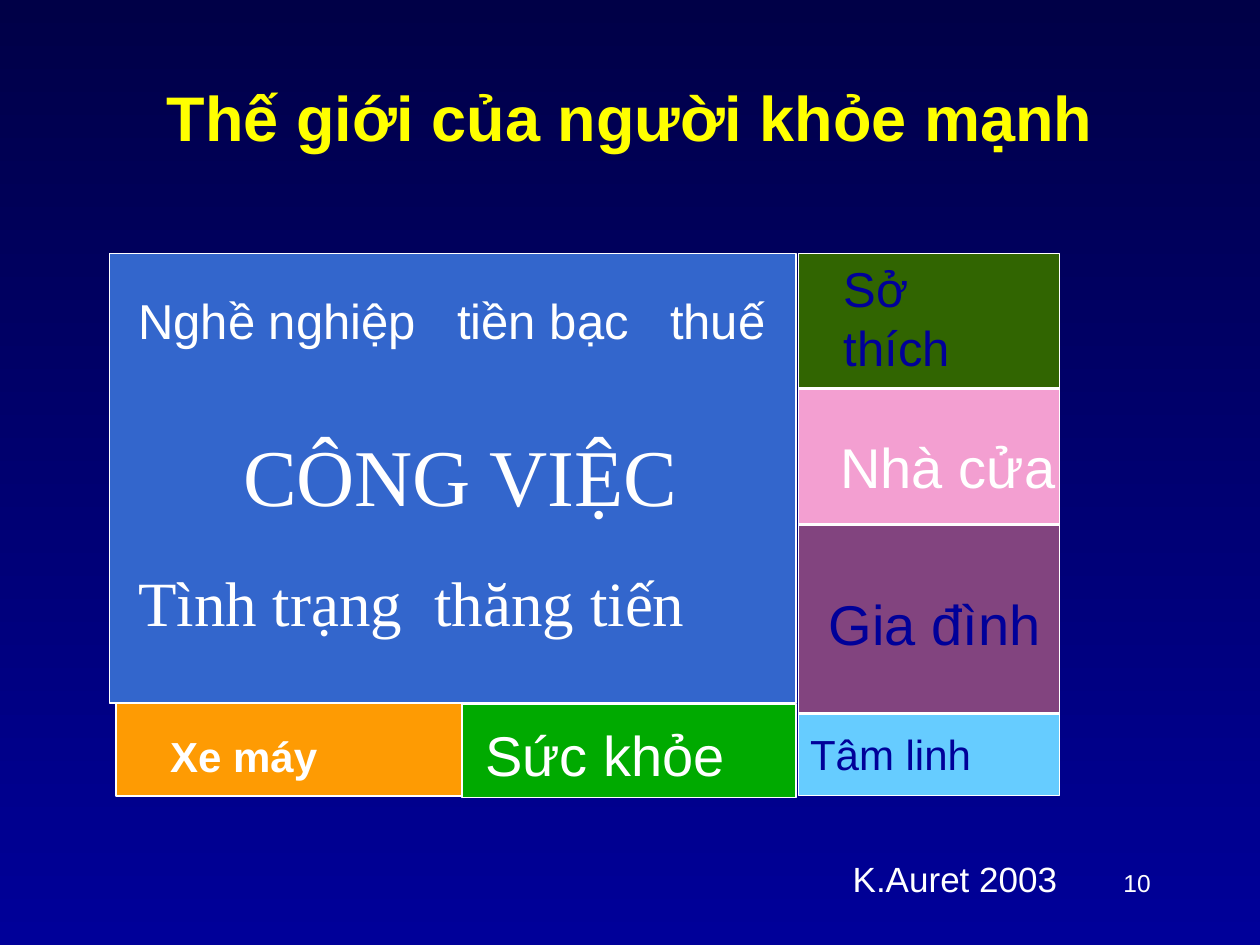
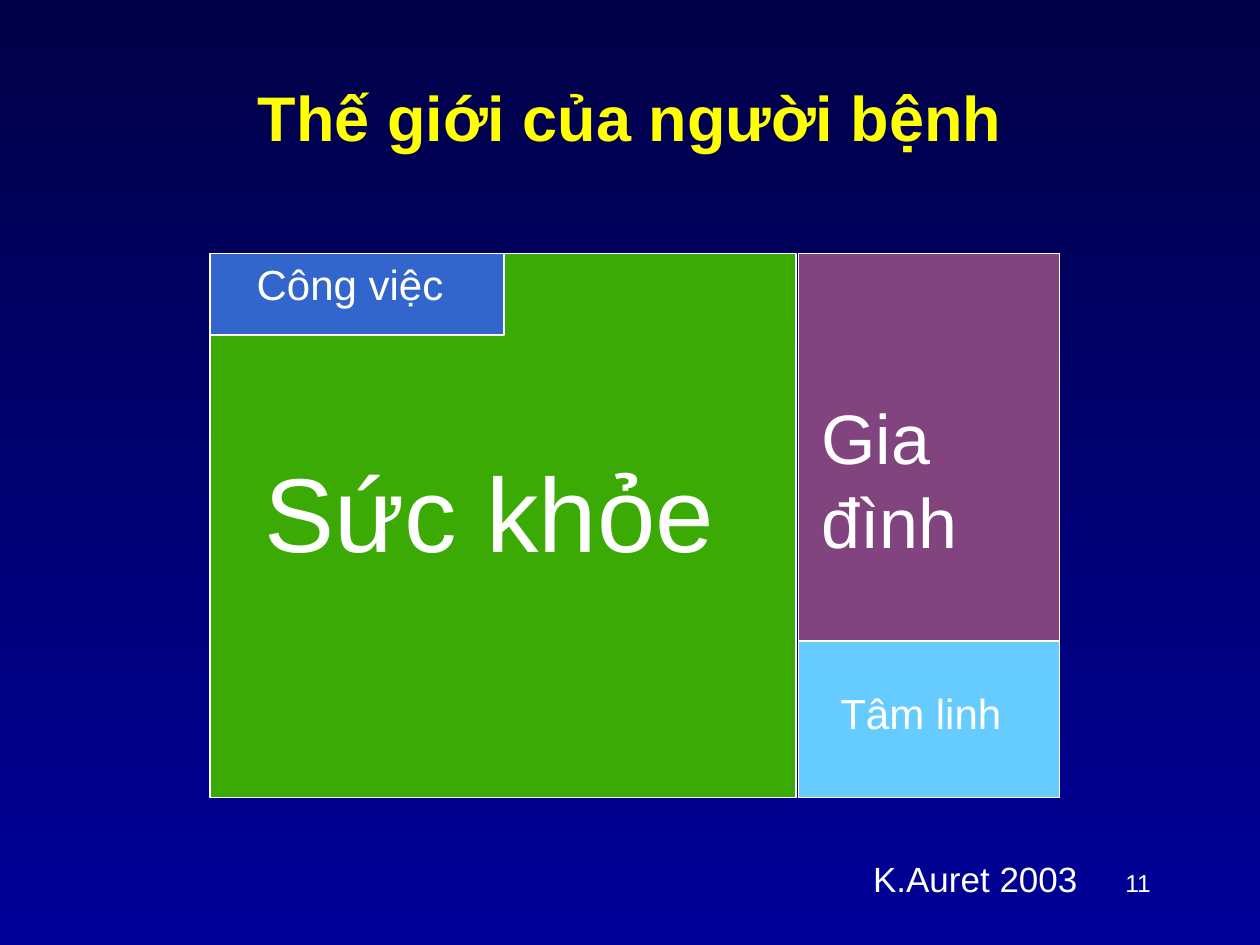
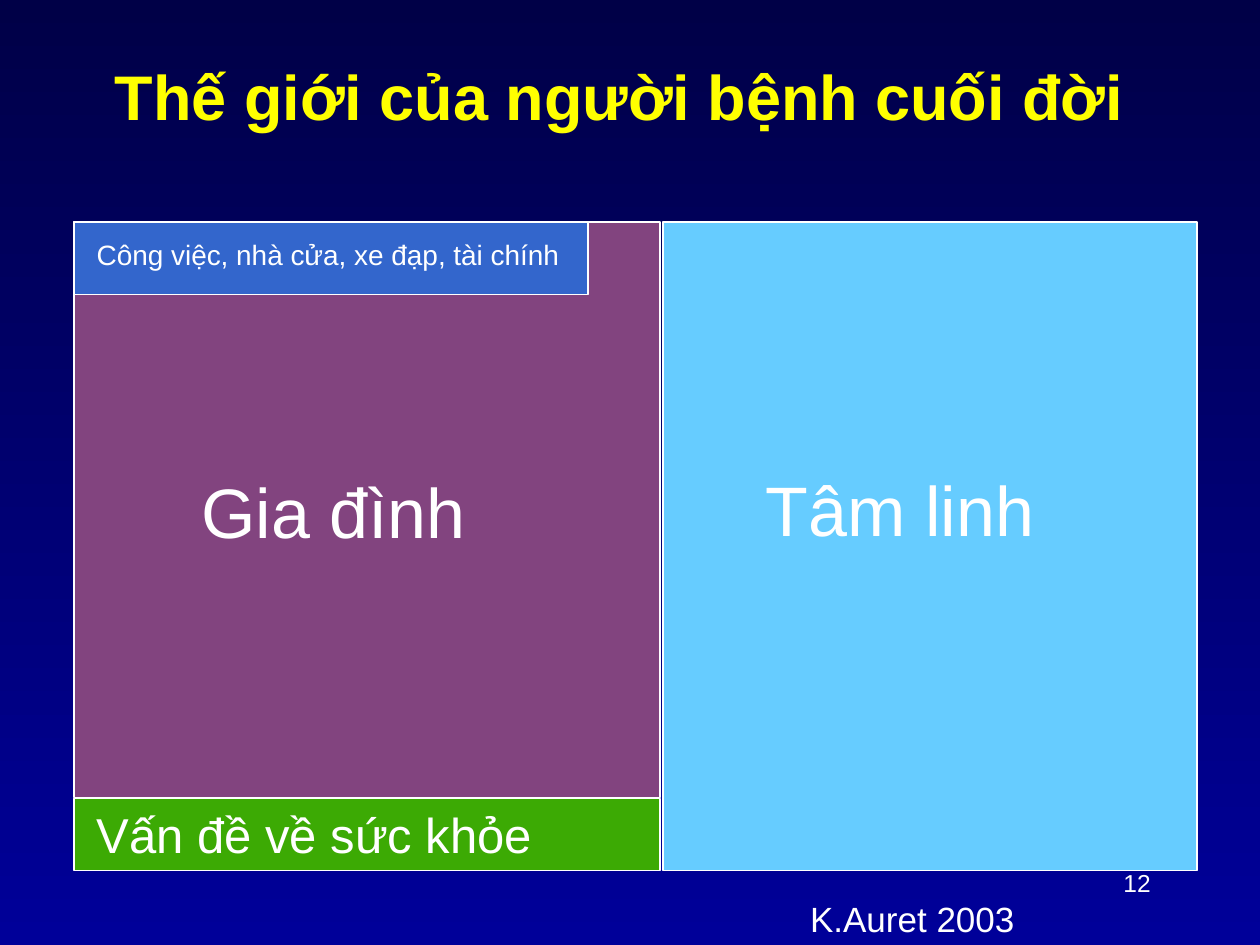
import pptx
import pptx.dml.color
import pptx.enum.shapes
import pptx.enum.text
import pptx.oxml.ns
import pptx.util
from lxml import etree

Cm = pptx.util.Cm
Pt = pptx.util.Pt
RGBColor = pptx.dml.color.RGBColor
PP_ALIGN = pptx.enum.text.PP_ALIGN

NIGHT = RGBColor(0x00, 0x00, 0x47)
NAVY = RGBColor(0x00, 0x00, 0x99)
WHITE = RGBColor(0xFF, 0xFF, 0xFF)
YELLOW = RGBColor(0xFF, 0xFF, 0x00)
WORK_BLUE = RGBColor(0x33, 0x66, 0xCC)
ORANGE = RGBColor(0xFE, 0x9B, 0x03)
GREEN = RGBColor(0x00, 0xAA, 0x00)
HEALTH_GREEN = RGBColor(0x3C, 0xAA, 0x04)
HOBBY_GREEN = RGBColor(0x31, 0x65, 0x01)
PINK = RGBColor(0xF3, 0x9F, 0xD1)
FAMILY_PURPLE = RGBColor(0x82, 0x44, 0x7F)
SPIRIT_BLUE = RGBColor(0x66, 0xCC, 0xFF)

SANS = "Arial"
SERIF = "Times New Roman"
FRAME_FORMAT = {
    "word_wrap": True,
    "auto_size": pptx.enum.text.MSO_AUTO_SIZE.NONE,
    "margin_left": Cm(0.25),
    "margin_right": Cm(0.25),
    "margin_top": Cm(0.13),
    "margin_bottom": Cm(0.13),
}
TITLE_AREA = (1.27, 0.76, 22.86, 3.18)
NUMBER_AREA = (17.53, 17.37, 5.92, 1.32)
SIDE_LEFT, SIDE_WIDTH, TILE_TOP, SIDE_GAP = 16.1, 5.26, 5.11, 0.02


def set_format(target, values):
    """Set every attribute named in the format values."""
    for name, value in values.items():
        setattr(target, name, value)


def place(shape, area):
    """Move and size a shape from lengths in centimetres."""
    names = ("left", "top", "width", "height")
    set_format(shape, dict(zip(names, map(Cm, area))))


def add_tabs(para, stops):
    """Add left tab stops, given in centimetres, to a paragraph."""
    tab_list = etree.SubElement(para._p.get_or_add_pPr(), pptx.oxml.ns.qn("a:tabLst"))
    for stop in stops:
        etree.SubElement(tab_list, pptx.oxml.ns.qn("a:tab"), pos=str(Cm(stop)), algn="l")


def write_text(shape, text, size, color=WHITE, font=SANS, bold=False, align=PP_ALIGN.LEFT, tabs=()):
    """Write one formatted paragraph into a shape."""
    set_format(shape.text_frame, FRAME_FORMAT)
    para = shape.text_frame.paragraphs[0]
    para.alignment = align
    if tabs:
        add_tabs(para, tabs)
    span = para.add_run()
    span.text = text
    set_format(span.font, {"name": font, "size": Pt(size), "bold": bold})
    span.font.color.rgb = color


def add_label(page, text, area, size, **formats):
    """Add a text box to the page."""
    box = page.shapes.add_textbox(*map(Cm, area))
    write_text(box, text, size, **formats)


def add_tile(page, color, area):
    """Add a white-edged rectangle to the page."""
    tile = page.shapes.add_shape(pptx.enum.shapes.MSO_SHAPE.RECTANGLE, *map(Cm, area))
    tile.shadow.inherit = False
    tile.fill.solid()
    tile.fill.fore_color.rgb = color
    tile.line.color.rgb = WHITE
    tile.line.width = Pt(1)


def add_side_stack(page, tiles):
    """Stack coloured tiles of given heights down the right column."""
    top = TILE_TOP
    for color, height in tiles:
        add_tile(page, color, (SIDE_LEFT, top, SIDE_WIDTH, height))
        top += height + SIDE_GAP


def add_page(deck, title, number, credit_area, title_area=TITLE_AREA):
    """Add a page with its title, number and credit."""
    page = deck.slides.add_slide(deck.slide_layouts.get_by_name("Title Only"))
    place(page.shapes.title, title_area)
    write_text(page.shapes.title, title, 36, color=YELLOW, bold=True, align=PP_ALIGN.CENTER)
    page.shapes.title.text_frame.vertical_anchor = pptx.enum.text.MSO_ANCHOR.MIDDLE
    add_label(page, number, NUMBER_AREA, 14, align=PP_ALIGN.RIGHT)
    add_label(page, "K.Auret 2003", credit_area, 20)
    return page


def paint_background(deck):
    """Give the slide master the blue gradient."""
    fill = deck.slide_master.background.fill
    fill.gradient()
    fill.gradient_angle = 270
    for stop, color in zip(fill.gradient_stops, (NIGHT, NAVY)):
        stop.color.rgb = color


def build_healthy_world(deck):
    """Build the page on the world of a healthy person."""
    page = add_page(deck, "Thế giới của người khỏe mạnh", "10", (16.94, 17.15, 7.19, 1.12))
    add_tile(page, WORK_BLUE, (2.21, TILE_TOP, 13.84, 9.07))
    add_tile(page, ORANGE, (2.34, 14.17, 6.99, 1.88))
    add_tile(page, GREEN, (9.32, 14.2, 6.73, 1.88))
    add_side_stack(page, [(HOBBY_GREEN, 2.72), (PINK, 2.72), (FAMILY_PURPLE, 3.78), (SPIRIT_BLUE, 1.65)])
    add_label(page, "CÔNG VIỆC", (4.65, 8.46, 9.53, 2.21), 46, font=SERIF)
    add_label(page, "Nghề nghiệp\ttiền bạc\tthuế", (2.54, 5.72, 13.34, 1.45), 28, tabs=(6.43, 10.72))
    add_label(page, "Tình trạng\tthăng tiến", (2.54, 11.23, 13.34, 1.78), 36, font=SERIF, tabs=(5.97,))
    add_label(page, "Xe máy", (3.18, 14.6, 5.51, 1.27), 24, bold=True)
    add_label(page, "Sức khỏe", (9.53, 14.4, 5.51, 1.6), 32)
    add_label(page, "Sở thích", (16.76, 5.08, 4.15, 2.64), 28, color=NAVY)
    add_label(page, "Nhà cửa", (16.69, 8.59, 5.2, 1.6), 32)
    add_label(page, "Gia đình", (16.46, 11.76, 5, 1.6), 32, color=NAVY)
    add_label(page, "Tâm linh", (16.08, 14.55, 4, 1.27), 24, color=NAVY)


def build_patient_world(deck):
    """Build the page on the world of a patient."""
    page = add_page(deck, "Thế giới của người bệnh", "11", (17.35, 17.15, 6.15, 1.12))
    add_tile(page, HEALTH_GREEN, (4.24, TILE_TOP, 11.81, 10.97))
    add_tile(page, WORK_BLUE, (4.24, TILE_TOP, 5.92, 1.65))
    add_tile(page, FAMILY_PURPLE, (SIDE_LEFT, TILE_TOP, SIDE_WIDTH, 9.27))
    add_tile(page, SPIRIT_BLUE, (SIDE_LEFT, 12.93, SIDE_WIDTH, 3.15))
    add_label(page, "Công việc", (4.39, 5.08, 5.33, 1.27), 24, align=PP_ALIGN.CENTER)
    add_label(page, "Sức khỏe", (5.08, 8.89, 10.16, 2.79), 60)
    add_label(page, "Gia đình", (16.31, 7.82, 5.08, 3.63), 40)
    add_label(page, "Tâm linh", (16.69, 13.72, 4.04, 1.27), 24)


def build_final_world(deck):
    """Build the page on the world of a patient at the end of life."""
    page = add_page(deck, "Thế giới của người bệnh cuối đời", "12",
                    (16.08, 17.96, 5.72, 1.12), (0.64, 0.76, 23.7, 2.34))
    add_tile(page, HEALTH_GREEN, (1.5, 16.1, 11.81, 1.45))
    add_tile(page, FAMILY_PURPLE, (1.5, 4.47, 11.81, 11.61))
    add_tile(page, SPIRIT_BLUE, (13.36, 4.47, 10.77, 13.08))
    add_tile(page, WORK_BLUE, (1.5, 4.47, 10.36, 1.47))
    add_label(page, "Vấn đề về sức khỏe", (1.7, 16.08, 11, 1.45), 28)
    add_label(page, "Gia đình", (3.81, 9.32, 6.15, 1.96), 40)
    add_label(page, "Tâm linh", (15.19, 9.27, 7.04, 1.96), 40)
    add_label(page, "Công việc, nhà cửa, xe đạp, tài chính", (1.7, 4.65, 10.36, 0.94), 16)


def main():
    """Build the deck and save it."""
    deck = pptx.Presentation()
    set_format(deck, {"slide_width": Cm(25.4), "slide_height": Cm(19.05)})
    paint_background(deck)
    build_healthy_world(deck)
    build_patient_world(deck)
    build_final_world(deck)
    deck.save("out.pptx")


if __name__ == "__main__":
    main()
